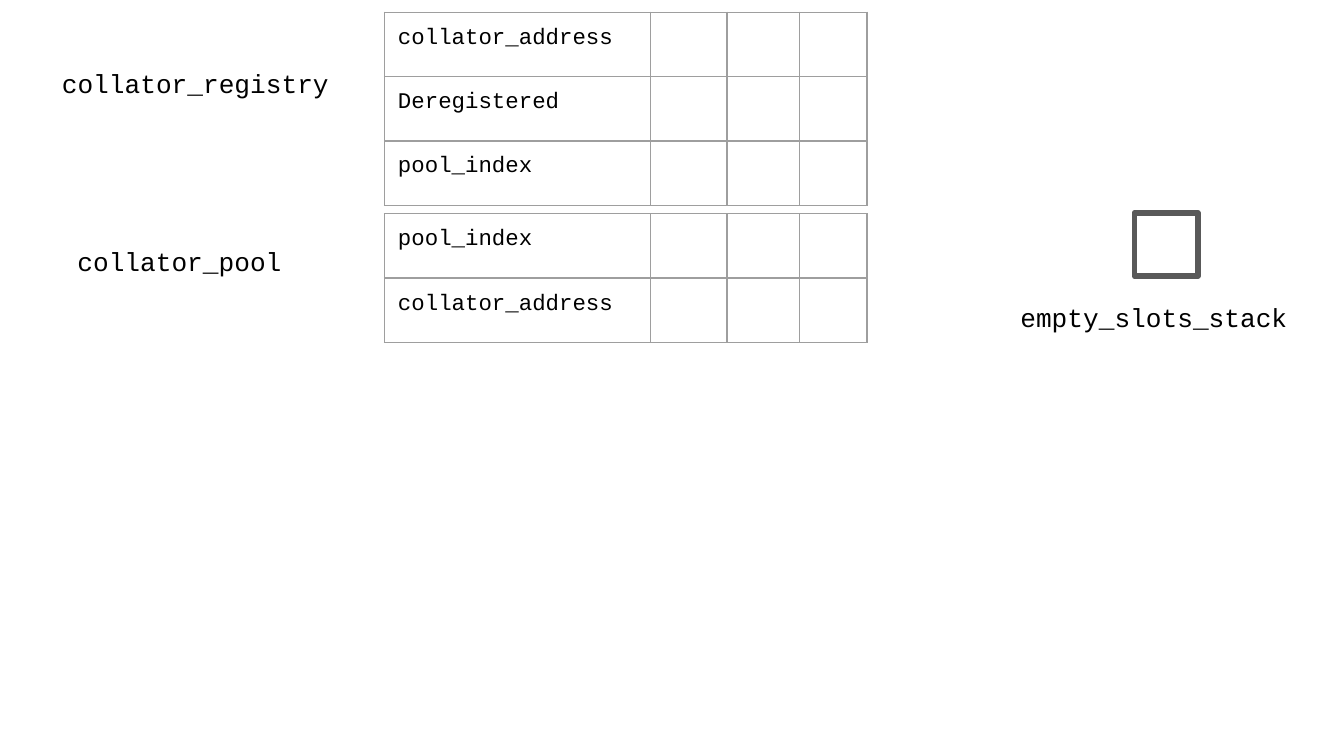
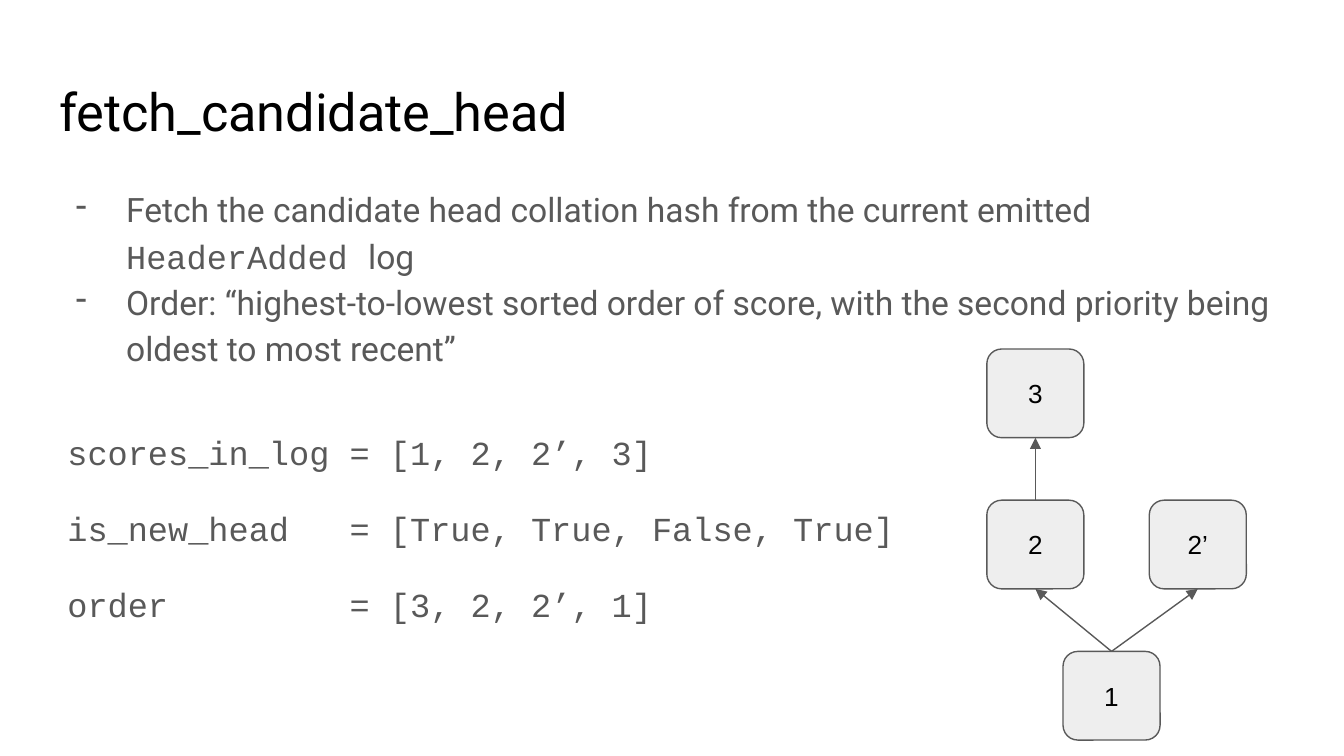
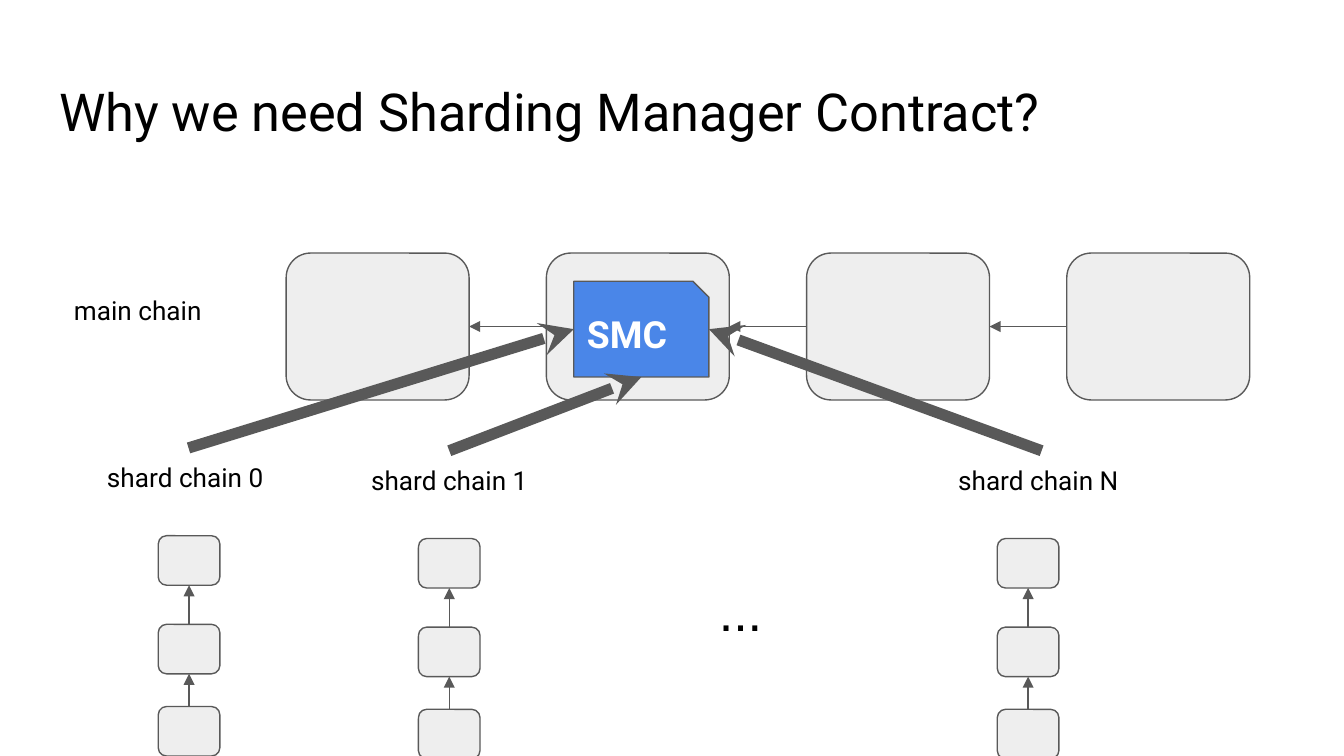
from lxml.etree import SubElement
from pptx import Presentation
from pptx.dml.color import RGBColor
from pptx.enum.shapes import MSO_CONNECTOR, MSO_SHAPE
from pptx.enum.text import MSO_ANCHOR, MSO_AUTO_SIZE, PP_ALIGN
from pptx.oxml.ns import qn
from pptx.util import Pt

# Shared look
hue = RGBColor.from_string
BLACK, WHITE, DARK = "000000", "FFFFFF", "595959"
PALE, BLUE, RULE = "EEEEEE", "4A86E8", "9E9E9E"
CODE, SANS, PLAIN = "Courier New", "Roboto", "Arial"
PAD = 7.2
TOP, LEFT, BASE, RIGHT = range(4)  # connection sites
ROUND = MSO_SHAPE.ROUNDED_RECTANGLE


def put(page, kind, at, text="", font=SANS, size=14, ink=BLACK,
        fill=PALE, weight=0.75, align=PP_ALIGN.CENTER):
    """Add a shape of the given kind, or a text box if kind is None."""
    area = [Pt(n) for n in at]
    if kind is None:
        item = page.shapes.add_textbox(*area)
    else:
        item = page.shapes.add_shape(kind, *area)
        item.shadow.inherit = False
        item.fill.solid()
        item.fill.fore_color.rgb = hue(fill)
        item.line.color.rgb = hue(DARK)
        item.line.width = Pt(weight)
    frame = item.text_frame
    frame.word_wrap = True
    frame.margin_left = frame.margin_right = Pt(PAD)
    frame.margin_top = frame.margin_bottom = Pt(PAD)
    frame.text = text
    for para in frame.paragraphs:
        para.alignment = align
        for run in para.runs:
            run.font.name, run.font.size = font, Pt(size)
            run.font.color.rgb = hue(ink)
    return item


def link(page, start, out, stop, into, weight=0.75, head="triangle"):
    """Draw an arrow between connection sites of two shapes."""
    arrow = page.shapes.add_connector(MSO_CONNECTOR.STRAIGHT, 0, 0, 0, 0)
    arrow.begin_connect(start, out)
    arrow.end_connect(stop, into)
    arrow.line.color.rgb = hue(DARK)
    arrow.line.width = Pt(weight)
    SubElement(arrow.line._get_or_add_ln(), qn("a:tailEnd"), type=head)
    SubElement(arrow._element.spPr, qn("a:effectLst"))


deck = Presentation()
deck.slide_width, deck.slide_height = Pt(720), Pt(405)

# Pages and titles
store = deck.slides.add_slide(deck.slide_layouts[6])
pages = []
for text in ["fetch_candidate_head", "Why we need Sharding Manager Contract?"]:
    page = deck.slides.add_slide(deck.slide_layouts[5])
    title = page.shapes.title
    title.left, title.top = Pt(24.5), Pt(35)
    title.width, title.height = Pt(671), Pt(45)
    frame = title.text_frame
    frame.text = text
    frame.auto_size = MSO_AUTO_SIZE.NONE
    frame.vertical_anchor = MSO_ANCHOR.TOP
    frame.margin_left = frame.margin_top = Pt(PAD)
    para = frame.paragraphs[0]
    para.alignment = PP_ALIGN.LEFT
    font = para.runs[0].font
    font.name, font.size = SANS, Pt(28)
    font.color.rgb = hue(BLACK)
    pages.append(page)
fetch, shard = pages

# Slide 1: labels and stack
for text, at in [("collator_pool", (32.5, 124.5, 127.5, 34)),
                 ("collator_registry", (19.5, 29, 170.5, 36)),
                 ("empty_slots_stack", (539, 154, 158.5, 34))]:
    put(store, None, at, text, CODE)
put(store, MSO_SHAPE.RECTANGLE, (607.7, 114, 34, 34), fill=WHITE, weight=3)

# Slide 1: tables
WIDE, TALL = [142.5, 41, 39, 36], 34.5
for top, names in [(6.5, ["collator_address", "Deregistered", "pool_index"]),
                   (114.5, ["pool_index", "collator_address"])]:
    grid = store.shapes.add_table(
        len(names), len(WIDE), Pt(206), Pt(top),
        Pt(sum(WIDE)), Pt(TALL * len(names))).table
    grid.first_row = grid.horz_banding = False
    for col, width in zip(grid.columns, WIDE):
        col.width = Pt(width)
    for row, name in zip(grid.rows, names):
        row.height = Pt(TALL)
        for cell in row.cells:
            props = cell._tc.get_or_add_tcPr()
            for side in ["lnL", "lnR", "lnT", "lnB"]:
                edge = SubElement(props, qn("a:" + side), w=str(Pt(0.75)))
                paint = SubElement(edge, qn("a:solidFill"))
                SubElement(paint, qn("a:srgbClr"), val=RULE)
            cell.fill.background()
        cell = row.cells[0]
        cell.margin_left = cell.margin_right = Pt(PAD)
        cell.margin_top = cell.margin_bottom = Pt(PAD)
        cell.text = name
        font = cell.text_frame.paragraphs[0].runs[0].font
        font.name, font.size = CODE, Pt(12)
        font.color.rgb = hue(BLACK)

# Slide 2: bullets
body = put(fetch, None, (24.5, 91, 671, 119.5),
           "Fetch the candidate head collation hash from the current emitted \n"
           "Order: “highest-to-lowest sorted order of score, with the second "
           "priority being oldest to most recent”",
           size=18, ink=DARK, align=PP_ALIGN.LEFT)
paras = body.text_frame.paragraphs
for text, face in [("HeaderAdded ", CODE), ("log", SANS)]:
    run = paras[0].add_run()
    run.text = text
    run.font.name, run.font.size = face, Pt(18)
    run.font.color.rgb = hue(DARK)
for para in paras:
    para.line_spacing = 1.15
    props = para._p.get_or_add_pPr()
    props.set("marL", str(Pt(36)))
    props.set("indent", str(Pt(-27)))
    paint = SubElement(props, qn("a:buClr"))
    SubElement(paint, qn("a:srgbClr"), val=DARK)
    SubElement(props, qn("a:buChar"), char="-")

# Slide 2: score tree
nodes = {}
for text, left, row in [("1", 569.5, 2), ("2", 528.7, 1),
                        ("3", 528.7, 0), ("2’", 615.7, 1)]:
    nodes[text] = put(fetch, ROUND, (left, 187 + 81 * row, 52, 47.5),
                      text, PLAIN)
for low, high in [("1", "2"), ("2", "3"), ("1", "2’")]:
    link(fetch, nodes[low], TOP, nodes[high], BASE)

# Slide 2: code
code = put(fetch, None, (29, 221, 478, 177),
           "scores_in_log = [1, 2, 2’, 3]\n"
           "is_new_head   = [True, True, False, True]\n"
           "order         = [3, 2, 2’, 1]",
           CODE, 18, DARK, align=PP_ALIGN.LEFT)
paras = code.text_frame.paragraphs
for para in paras:
    para.line_spacing = 1.15
for para in paras[1:]:
    para.space_before = Pt(16)
paras[-1].space_after = Pt(16)

# Slide 3: main chain
put(shard, None, (32.5, 150.5, 98, 48), "main chain", align=PP_ALIGN.LEFT)
chain = [put(shard, ROUND, (153.3 + 139.4 * n, 135.6, 98, 78.7))
         for n in range(4)]
for prev, block in zip(chain, chain[1:]):
    link(shard, block, LEFT, prev, RIGHT)
smc = put(shard, MSO_SHAPE.SNIP_1_RECTANGLE, (307.4, 150.7, 72.4, 51.3),
          "SMC", size=20, ink=WHITE, fill=BLUE, align=PP_ALIGN.LEFT)
smc.text_frame.paragraphs[0].runs[0].font.bold = True

# Slide 3: shard chains
for text, mid, left, width, top, site in [
        ("shard chain 0 ", 101.3, 49, 104, 240, LEFT),
        ("shard chain 1", 240.7, 188.7, 104, 241.5, BASE),
        ("shard chain N ", 550.8, 499, 118, 241.5, RIGHT)]:
    label = put(shard, None, (left, top, width, 46.5), text)
    tiles = [put(shard, ROUND, (mid - 16.5, top + drop, 33, 26.5))
             for drop in (47, 94.5, 138.5)]
    for high, low in zip(tiles, tiles[1:]):
        link(shard, low, TOP, high, BASE)
    link(shard, label, TOP, smc, site, 6, "stealth")
put(shard, None, (347.7, 303, 98, 27), "...", PLAIN, 28)

deck.save("out.pptx")
